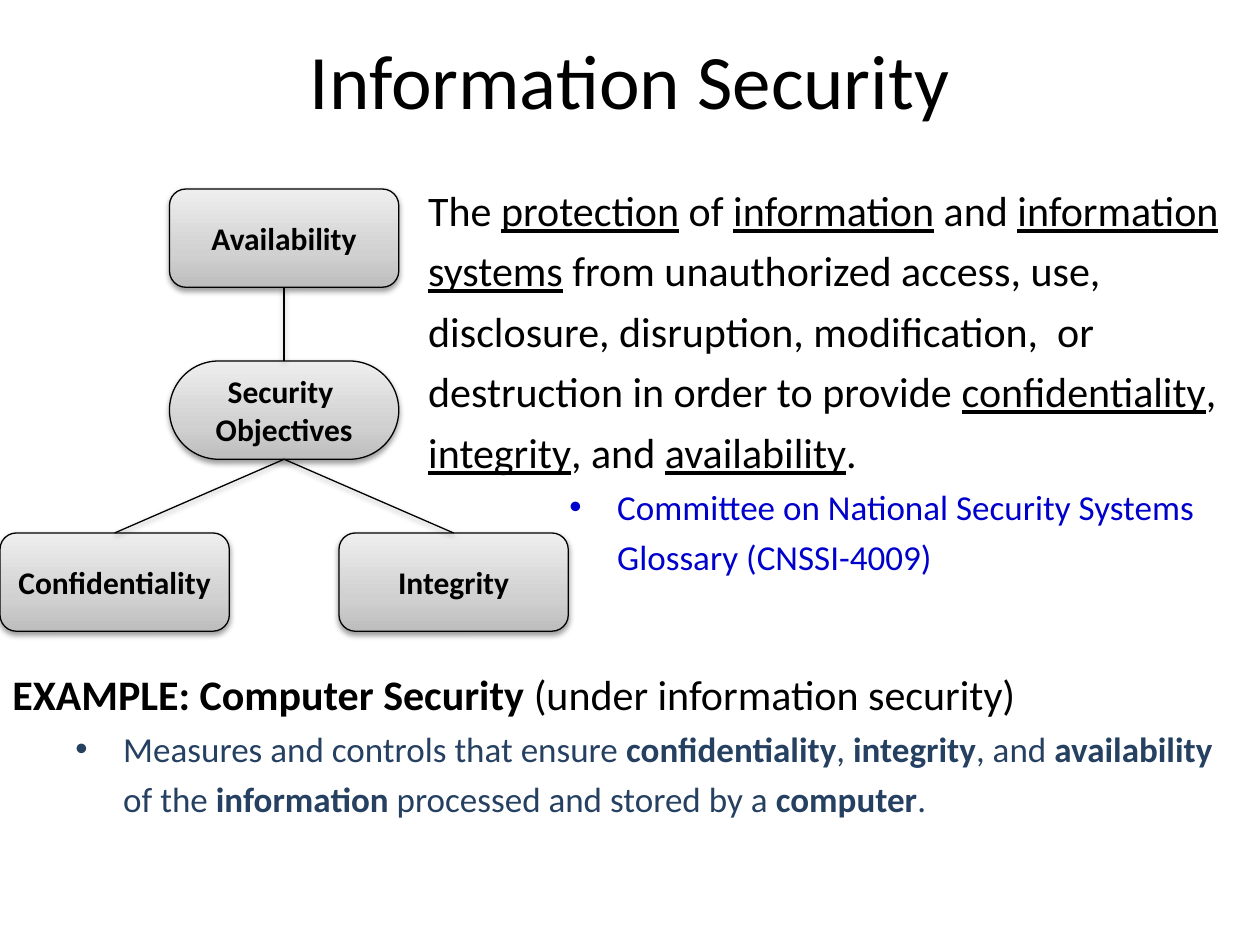
"""Build the Information Security slide: objectives diagram, definition and example."""
from dataclasses import dataclass
from typing import Any, Optional

from pptx import Presentation
from pptx import dml, oxml, util as u
from pptx.dml import color as colors
from pptx.enum import shapes, text
from pptx.oxml import ns


@dataclass(frozen=True)
class Theme:
    """Colours, type sizes and line settings of the slide."""
    font: str = "Calibri"
    ink: str = "000000"
    source: str = "0000CC"
    detail: str = "254061"
    gradient: tuple = ((0, "BDBDBD"), (35, "D1D1D1"), (100, "EEEEEE"))
    title: int = 44
    body: int = 24
    sub: int = 20
    label: int = 18
    line: float = 0.75
    spacing: float = 1.2


@dataclass(frozen=True)
class Grid:
    """Diagram grid in inches."""
    top: float = 1.5
    column: float = 1.345
    row: float = 1.365
    width: float = 1.82
    height: float = 0.78


@dataclass(frozen=True)
class Node:
    """A labelled box at a grid column and row."""
    lines: tuple
    column: int
    row: int
    rounding: Optional[float] = None


@dataclass(frozen=True)
class Link:
    """A line from the bottom of one node to the top of another."""
    upper: str
    lower: str


THEME = Theme()
GRID = Grid()
WIDTH, HEIGHT = 10, 7.5
TOP_SITE, BOTTOM_SITE = 0, 2
NODES = {
    "availability": Node(("Availability",), 1, 0),
    "objectives": Node(("Security ", "Objectives"), 1, 1, 0.5),
    "confidentiality": Node(("Confidentiality",), 0, 2),
    "integrity": Node(("Integrity",), 2, 2),
}
LINKS = (
    Link("availability", "objectives"),
    Link("objectives", "confidentiality"),
    Link("objectives", "integrity"),
)
DEFINITION = (
    "The |protection| of |information| and |information systems| from unauthorized access, "
    "use, disclosure, disruption, modification,  or destruction in order to provide "
    "|confidentiality|, |integrity|, and |availability|."
)
CITATION = "Committee on National Security Systems Glossary (CNSSI-4009)"
EXAMPLE = "|EXAMPLE: Computer Security |(under information security)"
MEASURES = (
    "Measures and controls that ensure |confidentiality|, |integrity|, and |availability| "
    "of the |information| processed and stored by a |computer|."
)


def write(tf: Any, content: str, *, size: int, color: str = THEME.ink, bold: bool = False,
          emphasis: str = "bold", align: Any = text.PP_ALIGN.LEFT, left: float = 0,
          hang: float = 0, bullet: str = "", spacing: Optional[float] = None) -> None:
    """Add a paragraph whose parts between bars carry the emphasis."""
    p = tf.paragraphs[0] if not tf.paragraphs[0].runs else tf.add_paragraph()
    p.alignment = align
    pPr = p._p.get_or_add_pPr()
    pPr.set("marL", str(u.Inches(left)))
    pPr.set("indent", str(-u.Inches(hang)))
    if bullet:
        pPr.append(oxml.parse_xml(
            f'<a:buFont {ns.nsdecls("a")} typeface="Arial"/>'))
        pPr.append(oxml.parse_xml(f'<a:buChar {ns.nsdecls("a")} char="{bullet}"/>'))
    if spacing:
        p.line_spacing = spacing
    for i, part in enumerate(content.split("|")):
        if part:
            r = p.add_run()
            r.text = part
            r.font.name, r.font.size, r.font.bold = THEME.font, u.Pt(size), bold
            r.font.color.rgb = colors.RGBColor.from_string(color)
            if i % 2:
                setattr(r.font, emphasis, True)


def add_text_box(s: Any, left: float, top: float, width: float, height: float) -> Any:
    """Add a wrapping text box placed by shares of the slide and return its frame."""
    sp = s.shapes.add_textbox(u.Inches(left * WIDTH), u.Inches(top * HEIGHT),
                              u.Inches(width * WIDTH), u.Inches(height * HEIGHT))
    sp.text_frame.word_wrap = True
    return sp.text_frame


def outline(sp: Any) -> None:
    """Give a shape or connector the thin line and the soft shadow."""
    sp.line.color.rgb = colors.RGBColor.from_string(THEME.ink)
    sp.line.width = u.Pt(THEME.line)
    sp._element.spPr.append(oxml.parse_xml(
        f'<a:effectLst {ns.nsdecls("a")}><a:outerShdw blurRad="40000" dist="20000" '
        f'dir="5400000" rotWithShape="0"><a:srgbClr val="{THEME.ink}">'
        '<a:alpha val="38000"/></a:srgbClr></a:outerShdw></a:effectLst>'))


def add_node(s: Any, node: Node) -> Any:
    """Draw a gradient box with its label."""
    sp = s.shapes.add_shape(
        shapes.MSO_SHAPE.ROUNDED_RECTANGLE,
        u.Inches(node.column * GRID.column), u.Inches(GRID.top + node.row * GRID.row),
        u.Inches(GRID.width), u.Inches(GRID.height))
    if node.rounding is not None:
        sp.adjustments[0] = node.rounding
    stops = "".join(f'<a:gs pos="{pos * 1000}"><a:srgbClr val="{color}"/></a:gs>'
                    for pos, color in THEME.gradient)
    sp._element.spPr.append(oxml.parse_xml(
        f'<a:gradFill {ns.nsdecls("a")} rotWithShape="1"><a:gsLst>{stops}</a:gsLst>'
        '<a:lin ang="16200000" scaled="0"/></a:gradFill>'))
    outline(sp)
    tf = sp.text_frame
    tf.word_wrap = True
    tf.vertical_anchor = text.MSO_ANCHOR.MIDDLE
    for line in node.lines:
        write(tf, line, size=THEME.label, bold=True, align=text.PP_ALIGN.CENTER)
    return sp


def add_link(s: Any, upper: Any, lower: Any) -> None:
    """Connect the bottom of one box to the top of another."""
    line = s.shapes.add_connector(shapes.MSO_CONNECTOR.STRAIGHT, 0, 0, 0, 0)
    line.begin_connect(upper, BOTTOM_SITE)
    line.end_connect(lower, TOP_SITE)
    outline(line)


def main() -> None:
    """Build and save the slide."""
    prs = Presentation()
    prs.slide_width, prs.slide_height = u.Inches(WIDTH), u.Inches(HEIGHT)
    s = prs.slides.add_slide(prs.slide_layouts[6])

    title = add_text_box(s, 0, 0, 1, 1 / 6)
    title.vertical_anchor = text.MSO_ANCHOR.MIDDLE
    write(title, "Information Security", size=THEME.title, align=text.PP_ALIGN.CENTER)

    definition = add_text_box(s, 0.292, 0.178, 0.708, 0.444)
    write(definition, DEFINITION, size=THEME.body, emphasis="underline", left=0.38,
          spacing=THEME.spacing)
    write(definition, CITATION, size=THEME.sub, color=THEME.source, left=1.88, hang=0.38,
          bullet="•", spacing=THEME.spacing)

    boxes = {name: add_node(s, node) for name, node in NODES.items()}
    for link in LINKS:
        add_link(s, boxes[link.upper], boxes[link.lower])

    example = add_text_box(s, 0, 0.69, 1, 0.185)
    write(example, EXAMPLE, size=THEME.body, spacing=THEME.spacing)
    write(example, MEASURES, size=THEME.sub, color=THEME.detail, left=0.88, hang=0.38,
          bullet="•", spacing=THEME.spacing)

    prs.save("out.pptx")


if __name__ == "__main__":
    main()
